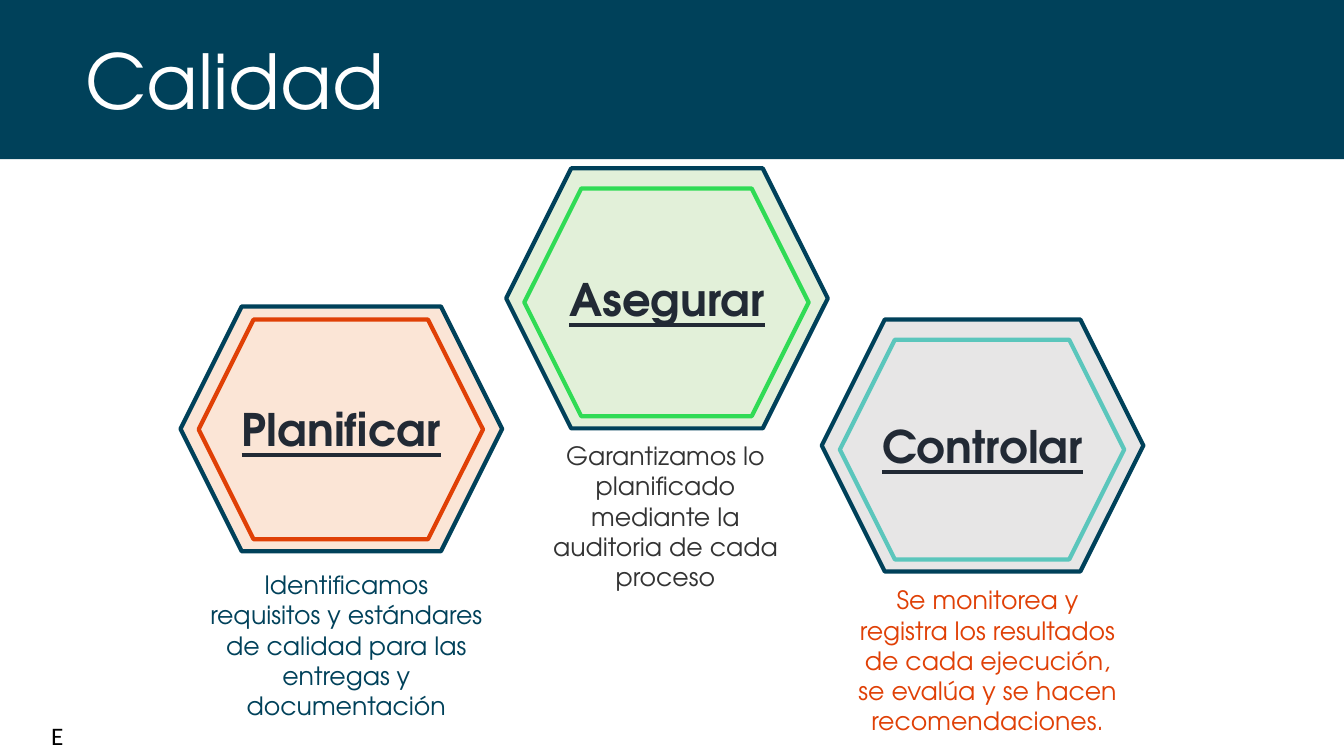
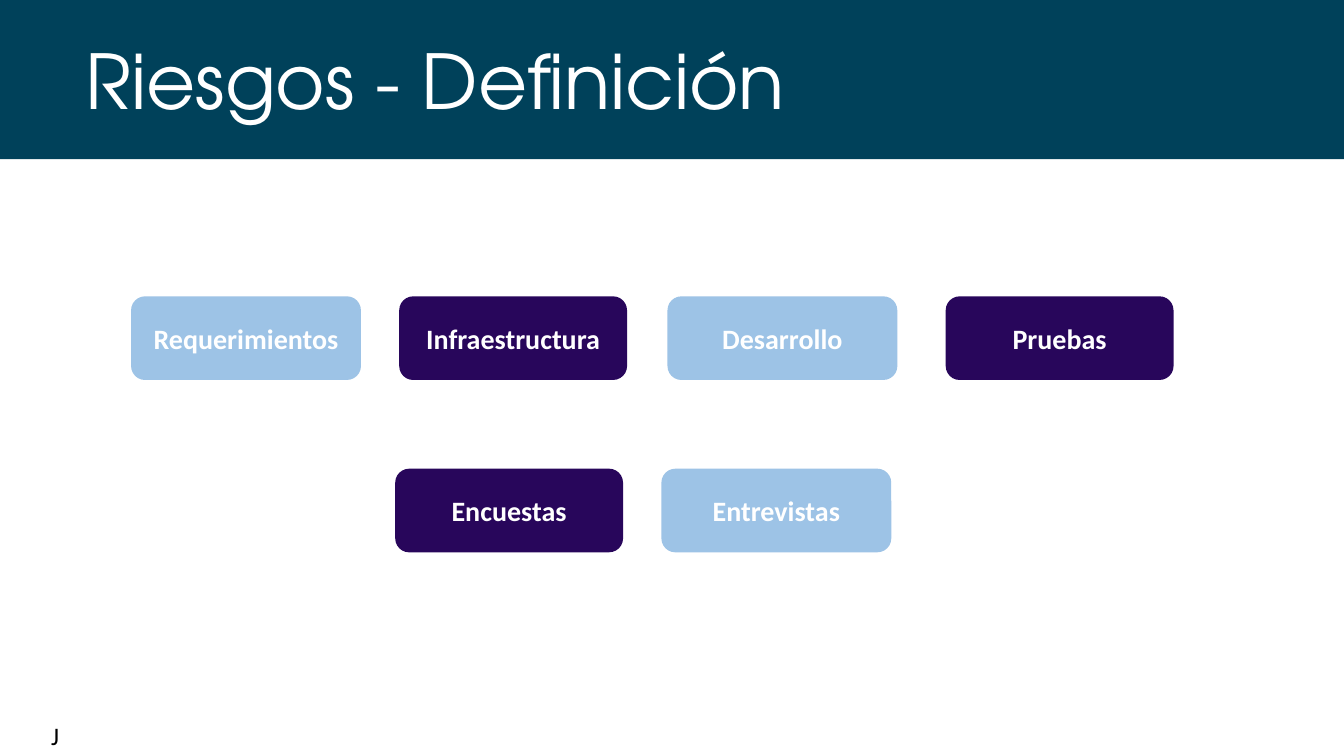
from dataclasses import dataclass

from pptx import Presentation
from pptx.dml.color import RGBColor
from pptx.enum.shapes import MSO_SHAPE
from pptx.enum.text import MSO_ANCHOR, MSO_AUTO_SIZE, PP_ALIGN
from pptx.util import Emu, Pt

PX = 9144  # 100 px to the inch
SLIDE_WIDTH, SLIDE_HEIGHT = 1333, 750


@dataclass(frozen=True)
class Theme:
    display_font: str = "TeX Gyre Adventor"
    plain_font: str = "Calibri"
    navy: str = "00415A"
    white: str = "FFFFFF"
    black: str = "000000"
    ink: str = "222A35"
    gray: str = "333333"
    orange: str = "E04006"
    green: str = "30DB55"
    teal: str = "5BC6BC"
    peach: str = "FBE5D6"
    mint: str = "E2F0D9"
    silver: str = "E7E6E6"
    sky: str = "9DC3E6"
    violet: str = "28065B"
    title_size: int = 54
    heading_size: int = 32
    chip_size: int = 20
    body_size: int = 18
    outline: int = 3


THEME = Theme()

# Boxes are (left, top, width, height) in px.
QUALITY_STEPS = [
    dict(name="Planificar", outer=(179, 304, 319, 243), inner=(197, 317, 282, 218),
         fill=THEME.peach, accent=THEME.orange,
         detail="Identificamos requisitos y estándares de calidad para las "
                "entregas y documentación",
         detail_box=(197, 560, 293, 162), detail_color=THEME.navy),
    dict(name="Asegurar", outer=(502, 167, 319, 258), inner=(520, 187, 282, 226),
         fill=THEME.mint, accent=THEME.green,
         detail="Garantizamos lo planificado mediante la auditoria de cada proceso",
         detail_box=(533, 432, 254, 162), detail_color=THEME.gray),
    dict(name="Controlar", outer=(815, 317, 319, 250), inner=(833, 337, 282, 218),
         fill=THEME.silver, accent=THEME.teal,
         detail="Se monitorea y registra los resultados de cada ejecución, "
                "se evalúa y se hacen recomendaciones.",
         detail_box=(833, 575, 293, 162), detail_color=THEME.orange),
]

CHIP_HEIGHT = 83
CHIP_WIDTHS = {THEME.sky: 228, THEME.violet: 226}
RISK_ROWS = [  # top, then (left, label, fill) for each chip
    (294, [(130, "Requerimientos", THEME.sky), (396, "Infraestructura", THEME.violet),
           (662, "Desarrollo", THEME.sky), (938, "Pruebas", THEME.violet)]),
    (465, [(392, "Encuestas", THEME.violet), (656, "Entrevistas", THEME.sky)]),
]


def emu(box):
    return [Emu(length * PX) for length in box]


def write(shape, text, size, color, font=THEME.display_font, bold=False,
          underline=False, align=PP_ALIGN.LEFT, anchor=MSO_ANCHOR.TOP, wrap=True):
    frame = shape.text_frame
    frame.word_wrap = wrap
    frame.vertical_anchor = anchor
    para = frame.paragraphs[0]
    para.alignment = align
    span = para.add_run()
    span.text = text
    span.font.name = font
    span.font.size = Pt(size)
    span.font.bold = bold
    span.font.underline = underline
    span.font.color.rgb = RGBColor.from_string(color)


def add_text(page, box, text, size, color, **style):
    label = page.shapes.add_textbox(*emu(box))
    write(label, text, size, color, **style)
    label.text_frame.auto_size = MSO_AUTO_SIZE.SHAPE_TO_FIT_TEXT


def add_figure(page, kind, box, fill=None, line=None):
    shape = page.shapes.add_shape(kind, *emu(box))
    shape.shadow.inherit = False
    if fill:
        shape.fill.solid()
        shape.fill.fore_color.rgb = RGBColor.from_string(fill)
    else:
        shape.fill.background()
    if line:
        shape.line.color.rgb = RGBColor.from_string(line)
        shape.line.width = Pt(THEME.outline)
    else:
        shape.line.fill.background()
    return shape


def add_page(deck, title, initial):
    """Add a page with the title band and the presenter's initial."""
    page = deck.slides.add_slide(deck.slide_layouts[6])
    add_figure(page, MSO_SHAPE.RECTANGLE, (0, 0, SLIDE_WIDTH, 158), fill=THEME.navy)
    add_text(page, (75, 29, 1200, 101), title, THEME.title_size, THEME.white)
    add_text(page, (41, 710, 48, 40), initial, THEME.body_size, THEME.black,
             font=THEME.plain_font)
    return page


def build_quality(deck):
    page = add_page(deck, "Calidad", "E")
    for step in QUALITY_STEPS:
        hexagon = add_figure(page, MSO_SHAPE.HEXAGON, step["outer"],
                             fill=step["fill"], line=THEME.navy)
        write(hexagon, step["name"], THEME.heading_size, THEME.ink, bold=True,
              underline=True, align=PP_ALIGN.CENTER, anchor=MSO_ANCHOR.MIDDLE,
              wrap=False)
        add_figure(page, MSO_SHAPE.HEXAGON, step["inner"], line=step["accent"])
        add_text(page, step["detail_box"], step["detail"], THEME.body_size,
                 step["detail_color"], align=PP_ALIGN.CENTER)


def build_risks(deck):
    page = add_page(deck, "Riesgos - Definición", "J")
    for top, chips in RISK_ROWS:
        for left, label, fill in chips:
            box = (left, top, CHIP_WIDTHS[fill], CHIP_HEIGHT)
            chip = add_figure(page, MSO_SHAPE.ROUNDED_RECTANGLE, box, fill=fill)
            write(chip, label, THEME.chip_size, THEME.white, font=THEME.plain_font,
                  bold=True, align=PP_ALIGN.CENTER, anchor=MSO_ANCHOR.MIDDLE)


def main():
    deck = Presentation()
    deck.slide_width, deck.slide_height = emu((SLIDE_WIDTH, SLIDE_HEIGHT))
    build_quality(deck)
    build_risks(deck)
    deck.save("out.pptx")


if __name__ == "__main__":
    main()
